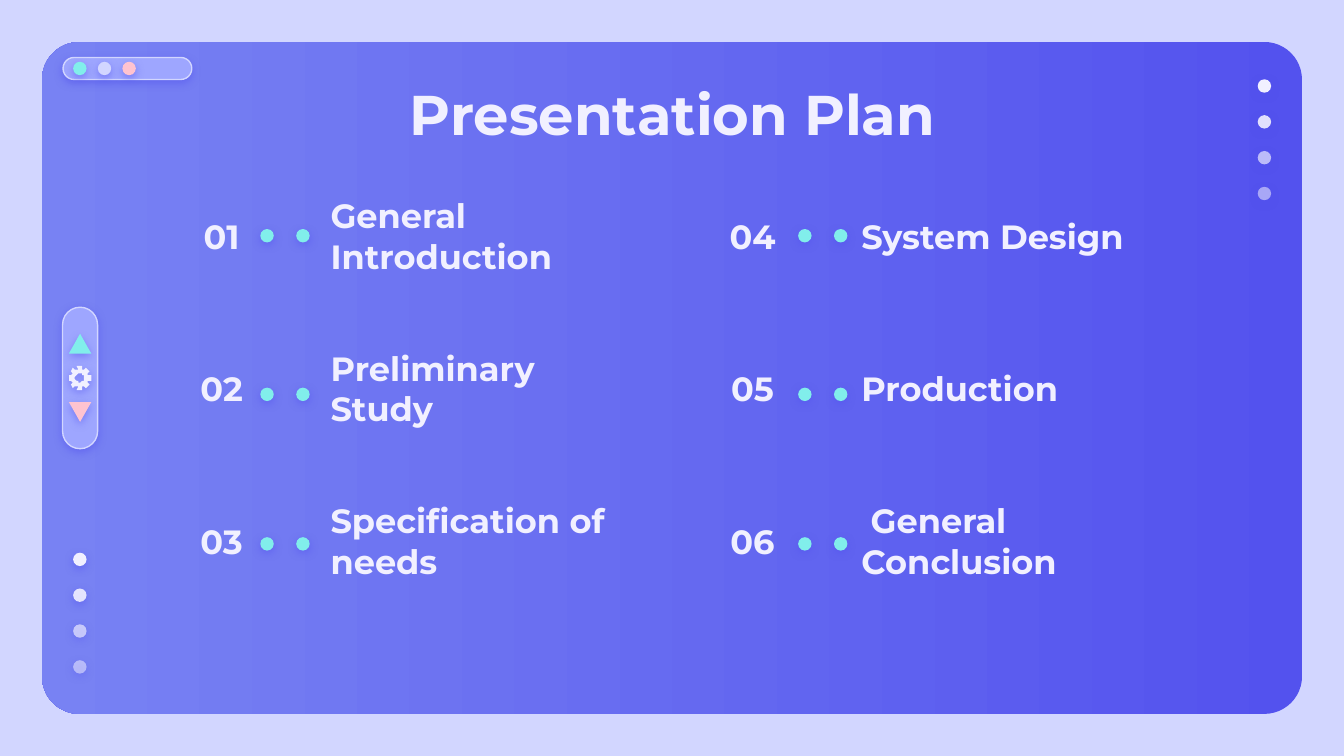
"""Build the "Presentation Plan" agenda slide."""
import math

from lxml import etree
from pptx import Presentation
from pptx import util as u
from pptx.dml.color import RGBColor
from pptx.enum import shapes, text
from pptx.oxml.ns import qn

TITLE = "Presentation Plan"
COLUMNS = [
    {"number_x": 84.2, "dots_x": 139.5, "label_x": 170,
     "items": [("01", "General Introduction"), ("02", "Preliminary Study"),
               ("03", "Specification of needs")]},
    {"number_x": 368.6, "dots_x": 427.6, "label_x": 454.3,
     "items": [("04", "System Design"), ("05", "Production"),
               ("06", " General Conclusion")]},
]
DOT_TOPS = [122.7, 207.7, 287.8]
FADES = [100, 90, 67, 54]
FADING_DOTS = [(673.8, 42.5), (39.2, 296.1)]
ROW_TOP, ROW_PITCH, ROW_H = 116.6, 81.7, 19.4
DOT, DOT_PITCH = 7.2, 19.2
COLORS = {"back": "D2D6FF", "deep": "5352EE", "light": "7882F3", "bar": "9EA6FF",
          "mint": "81EEEB", "pink": "FFC3D0", "white": "F1F0FF"}
SHAPE = shapes.MSO_SHAPE

prs = Presentation()
prs.slide_width, prs.slide_height = u.Pt(720), u.Pt(405)
s = prs.slides.add_slide(prs.slide_layouts[6])


def rgb(name):
    return RGBColor.from_string(COLORS[name])


def add_color(parent, name, alpha):
    clr = etree.SubElement(parent, qn("a:srgbClr"), val=COLORS[name])
    etree.SubElement(clr, qn("a:alpha"), val=str(alpha * 1000))


def style(sp, color, outline=None, alpha=100):
    sp.fill.solid()
    sp.fill.fore_color.rgb = rgb(color)
    if alpha < 100:
        solid = sp._element.spPr.find(qn("a:solidFill"))
        solid.remove(solid[0])
        add_color(solid, color, alpha)
    if outline:
        sp.line.color.rgb = rgb(outline)
        sp.line.width = u.Pt(0.75)
    else:
        sp.line.fill.background()
    sp.shadow.inherit = False
    effects = sp._element.spPr.find(qn("a:effectLst"))
    shadow = etree.SubElement(effects, qn("a:outerShdw"), blurRad=str(u.Pt(4.5)),
                              dist=str(u.Pt(1.5)), dir="5400000", rotWithShape="0")
    add_color(shadow, "deep", 50)


def add_shape(kind, x, y, w, h, color, outline=None, alpha=100):
    sp = s.shapes.add_shape(kind, u.Pt(x), u.Pt(y), u.Pt(w), u.Pt(h))
    style(sp, color, outline, alpha)
    return sp


def add_dot(x, y, color, alpha=100):
    add_shape(SHAPE.OVAL, x, y, DOT, DOT, color, alpha=alpha)


def add_pill(x, y, w, h):
    add_shape(SHAPE.ROUNDED_RECTANGLE, x, y, w, h, "bar", "back").adjustments[0] = 0.5


def add_text(words, x, y, w, h, size, align, anchor):
    tf = s.shapes.add_textbox(u.Pt(x), u.Pt(y), u.Pt(w), u.Pt(h)).text_frame
    tf.word_wrap = True
    tf.vertical_anchor = anchor
    tf.margin_left = tf.margin_right = tf.margin_top = tf.margin_bottom = u.Pt(7.2)
    p = tf.paragraphs[0]
    p.text, p.alignment = words, align
    p.font.name, p.font.size, p.font.bold = "Montserrat", u.Pt(size), True
    p.font.color.rgb = rgb("white")


def add_gear(cx, cy, tip=6.3, root=4.8, hole=2.4, teeth=8):
    def at(radius, degrees):
        a = math.radians(degrees)
        return cx + radius * math.cos(a), cy + radius * math.sin(a)

    step = 360 / teeth
    rim = [at(radius, k * step + turn) for k in range(teeth)
           for radius, turn in ((root, -15), (tip, -12), (tip, 12), (root, 15))]
    bore = [at(hole, -a) for a in range(0, 360, 15)]
    fb = s.shapes.build_freeform(*rim[0], scale=u.Pt(1))
    fb.add_line_segments(rim[1:], close=True)
    fb.move_to(*bore[0])
    fb.add_line_segments(bore[1:], close=True)
    style(fb.convert_to_shape(), "white")


s.background.fill.solid()
s.background.fill.fore_color.rgb = rgb("back")

panel = add_shape(SHAPE.ROUNDED_RECTANGLE, 22.5, 22.5, 675, 360, "deep")
panel.adjustments[0] = 0.056
panel.shadow.inherit = True
panel.shadow.inherit = False
panel.fill.gradient()
panel.fill.gradient_angle = 180
for stop, color in zip(panel.fill.gradient_stops, ("deep", "light")):
    stop.color.rgb = rgb(color)

add_pill(33.8, 30.8, 69, 11.8)
for i, color in enumerate(("mint", "back", "pink")):
    add_dot(39.2 + i * 13.2, 33.1, color)
for x, y in FADING_DOTS:
    for i, fade in enumerate(FADES):
        add_dot(x, y + i * DOT_PITCH, "white", fade)

add_text(TITLE, 56.9, 35.3, 607, 45.4, 30, text.PP_ALIGN.CENTER, text.MSO_ANCHOR.TOP)
for col in COLUMNS:
    for row, (number, label) in enumerate(col["items"]):
        y = ROW_TOP + row * ROW_PITCH
        add_text(number, col["number_x"], y, 69.1, ROW_H, 18,
                 text.PP_ALIGN.CENTER, text.MSO_ANCHOR.MIDDLE)
        add_text(label, col["label_x"], y, 181.4, ROW_H, 18,
                 text.PP_ALIGN.LEFT, text.MSO_ANCHOR.MIDDLE)
        for i in range(2):
            add_dot(col["dots_x"] + i * DOT_PITCH, DOT_TOPS[row], "mint")

add_pill(33.5, 164.6, 18.8, 75.8)
add_shape(SHAPE.ISOSCELES_TRIANGLE, 36.9, 178.8, 12, 10.6, "mint")
add_shape(SHAPE.ISOSCELES_TRIANGLE, 36.9, 215.4, 12, 10.6, "pink").rotation = 180
add_gear(42.8, 202.4)

prs.save("out.pptx")
